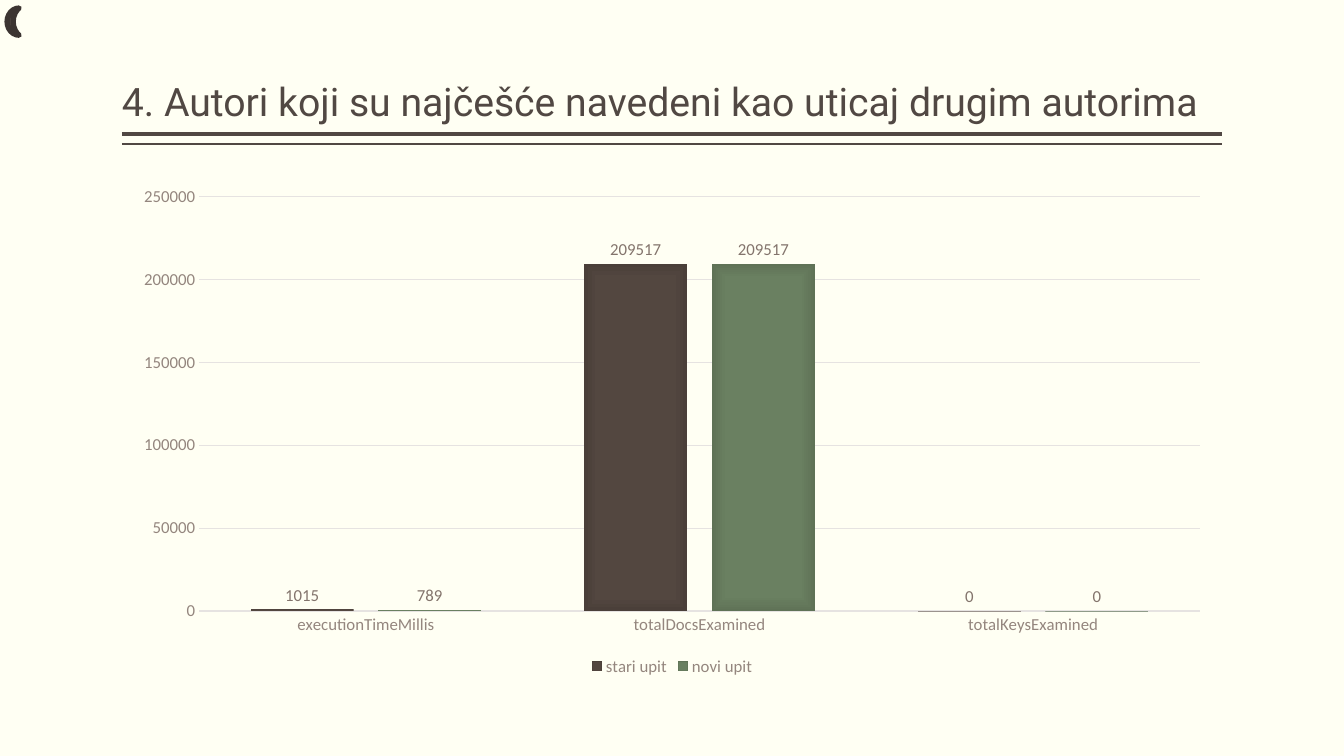
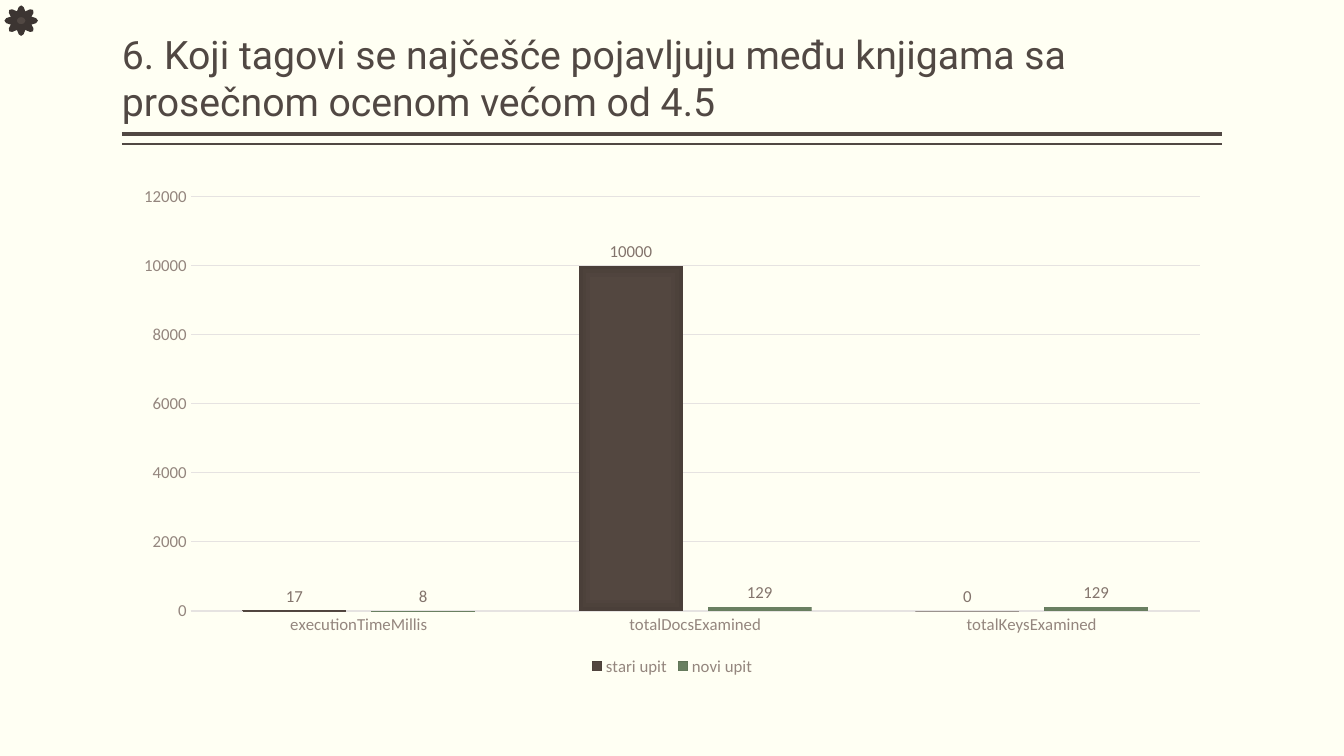
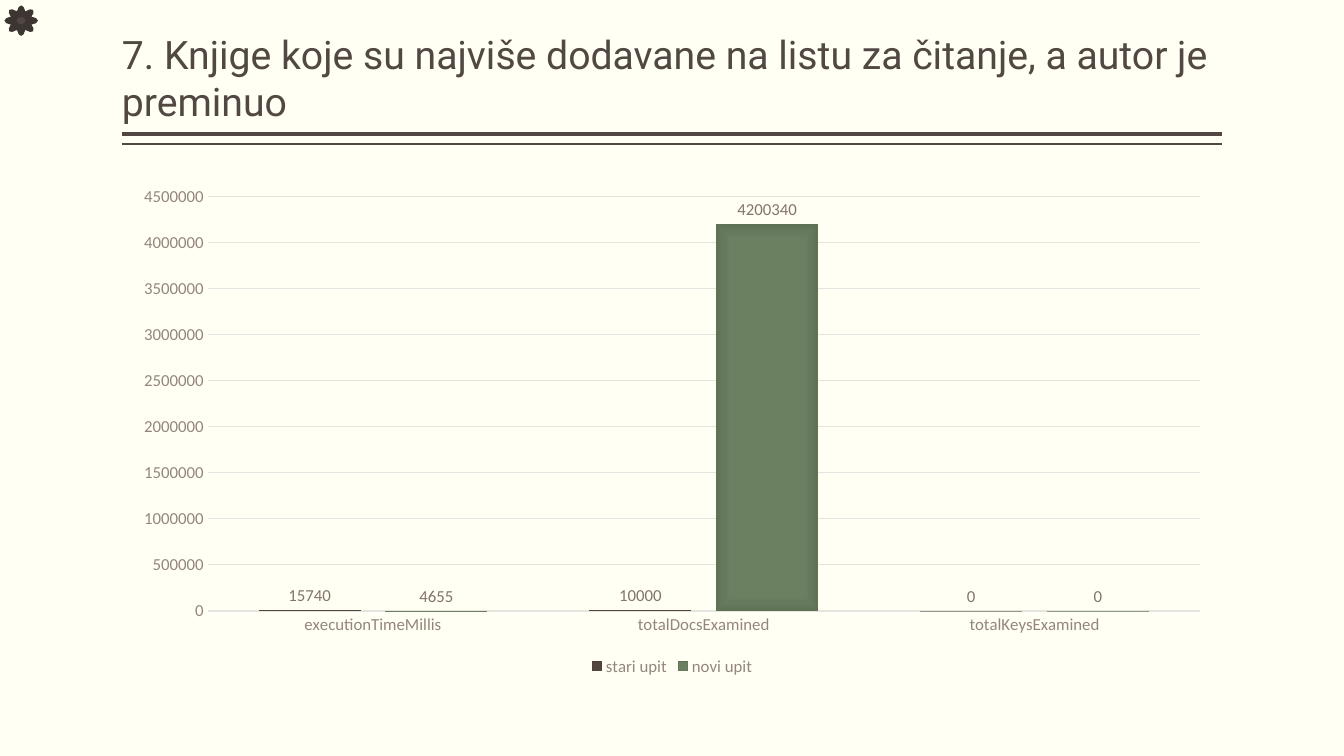
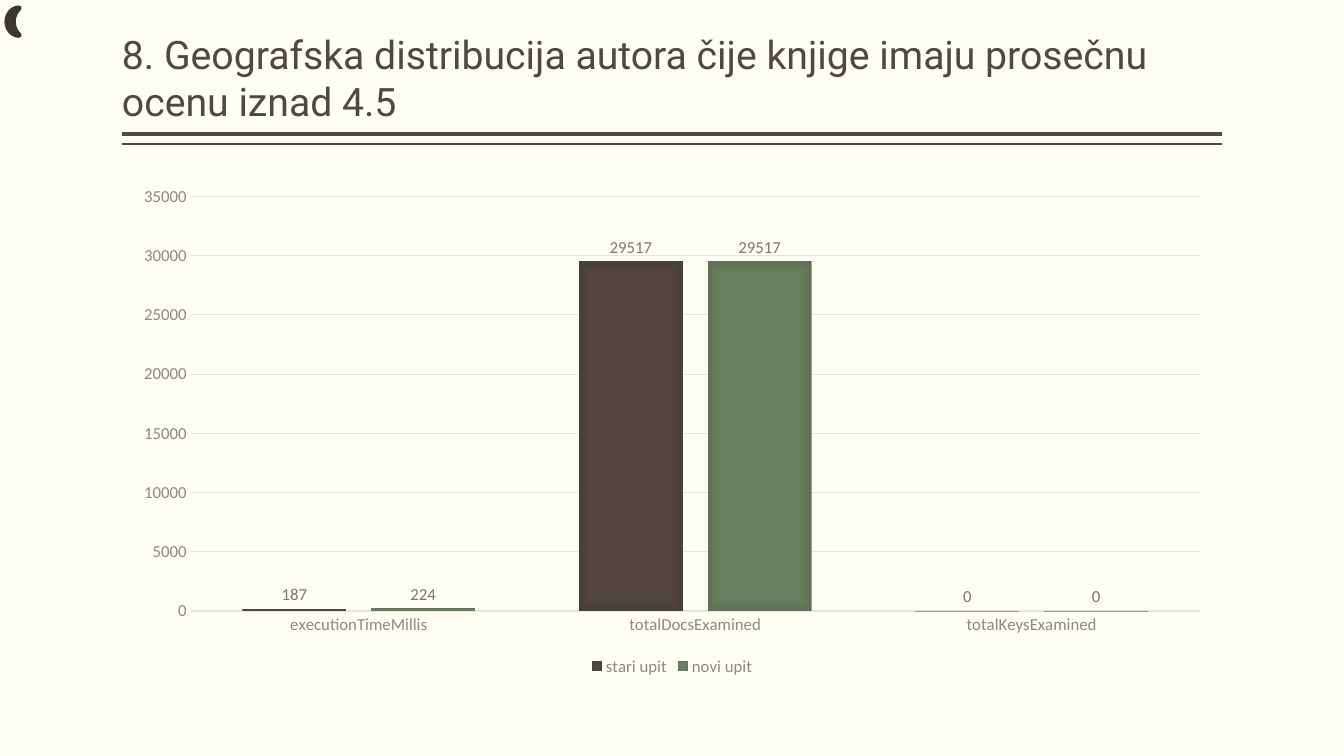
from dataclasses import dataclass

from pptx import Presentation
from pptx.chart.data import CategoryChartData
from pptx.dml.color import RGBColor
from pptx.enum.chart import XL_CHART_TYPE, XL_LABEL_POSITION, XL_LEGEND_POSITION, XL_TICK_MARK
from pptx.enum.shapes import MSO_CONNECTOR, MSO_SHAPE
from pptx.enum.text import MSO_ANCHOR, MSO_AUTO_SIZE, PP_ALIGN
from pptx.oxml import parse_xml
from pptx.oxml.ns import nsdecls
from pptx.util import Inches, Pt


@dataclass(frozen=True)
class Theme:
    paper: str = "FFFFF3"
    ink: str = "514843"
    icon_edge: str = "3C3532"
    axis_text: str = "94867E"
    label_text: str = "83746C"
    grid: str = "E6E3E1"
    # Bar colours from centre to edge, one row per series
    bars: tuple = (("544740", "534740", "4A3F39"), ("6B8162", "6A8061", "5F7256"))
    bar_stops: tuple = (0, 71, 100)
    title_font: str = "Roboto"
    chart_font: str = "Calibri"
    title_size: float = 28
    chart_size: float = 10
    label_size: float = 12


theme = Theme()

# Content: title, whether the new query is faster on all counts (icon), values of both queries
METRICS = ("executionTimeMillis", "totalDocsExamined", "totalKeysExamined")
QUERIES = ("stari upit", "novi upit")
MOON = (MSO_SHAPE.MOON, 0.12, 0.27)
SUN = (MSO_SHAPE.SUN, 0.28, 0.25)
RESULTS = (
    ("4. Autori koji su najčešće navedeni kao uticaj drugim autorima",
     MOON, ((1015, 209517, 0), (789, 209517, 0))),
    ("6. Koji tagovi se najčešće pojavljuju među knjigama sa prosečnom ocenom većom od 4.5",
     SUN, ((17, 10000, 0), (8, 129, 129))),
    ("7. Knjige koje su najviše dodavane na listu za čitanje, a autor je preminuo",
     SUN, ((15740, 10000, 0), (4655, 4200340, 0))),
    ("8. Geografska distribucija autora čije knjige imaju prosečnu ocenu iznad 4.5",
     MOON, ((187, 29517, 0), (224, 29517, 0))),
)


def set_font(font, name, size, color):
    font.name = name
    font.size = Pt(size)
    font.bold = False
    font.color.rgb = RGBColor.from_string(color)


def centre_gradient(colors):
    stops = "".join(
        f'<a:gs pos="{share * 1000}"><a:srgbClr val="{color}"/></a:gs>'
        for share, color in zip(theme.bar_stops, colors))
    return parse_xml(
        f'<a:gradFill {nsdecls("a")}><a:gsLst>{stops}</a:gsLst><a:path path="rect">'
        '<a:fillToRect l="50000" t="50000" r="50000" b="50000"/></a:path></a:gradFill>')


# Slide size and shared frame
deck = Presentation()
deck.slide_width = Inches(13.33)
deck.slide_height = Inches(7.5)
margin = Inches(1.21)
content_width = deck.slide_width - 2 * margin
rules = ((1.33, 3), (1.43, 1))

paper = deck.slide_master.background.fill
paper.solid()
paper.fore_color.rgb = RGBColor.from_string(theme.paper)
title_only = deck.slide_layouts[5]

for heading, (icon_kind, icon_width, icon_height), timings in RESULTS:
    slide = deck.slides.add_slide(title_only)

    # Double rule under the title
    for rule_y, weight in rules:
        rule = slide.shapes.add_connector(
            MSO_CONNECTOR.STRAIGHT, margin, Inches(rule_y),
            margin + content_width, Inches(rule_y))
        rule.line.width = Pt(weight)
        rule.line.color.rgb = RGBColor.from_string(theme.ink)
        rule._element.spPr.append(parse_xml(f'<a:effectLst {nsdecls("a")}/>'))

    # Title
    title = slide.shapes.title
    title.left, title.top = margin, Inches(0.08)
    title.width, title.height = content_width, Inches(1.2)
    frame = title.text_frame
    frame.text = heading
    frame.word_wrap = True
    frame.auto_size = MSO_AUTO_SIZE.NONE
    frame.vertical_anchor = MSO_ANCHOR.BOTTOM
    frame.margin_left = frame.margin_right = 0
    frame.margin_top = frame.margin_bottom = Inches(0.05)
    frame.paragraphs[0].alignment = PP_ALIGN.LEFT
    set_font(frame.paragraphs[0].font, theme.title_font, theme.title_size, theme.ink)

    # Chart of both queries
    data = CategoryChartData()
    data.categories = METRICS
    for query, values in zip(QUERIES, timings):
        data.add_series(query, values)
    chart = slide.shapes.add_chart(
        XL_CHART_TYPE.COLUMN_CLUSTERED, margin, Inches(1.75),
        content_width, Inches(5), data).chart
    chart.has_title = False
    set_font(chart.font, theme.chart_font, theme.chart_size, theme.ink)
    chart.has_legend = True
    chart.legend.position = XL_LEGEND_POSITION.BOTTOM
    chart.legend.include_in_layout = False
    set_font(chart.legend.font, theme.chart_font, theme.label_size, theme.axis_text)

    # Axes and grid
    for axis in (chart.category_axis, chart.value_axis):
        axis.major_tick_mark = axis.minor_tick_mark = XL_TICK_MARK.NONE
        set_font(axis.tick_labels.font, theme.chart_font, theme.label_size, theme.axis_text)
    baseline = chart.category_axis.format.line
    gridline = chart.value_axis.major_gridlines.format.line
    for line, weight in ((baseline, 1), (gridline, 0.75)):
        line.width = Pt(weight)
        line.color.rgb = RGBColor.from_string(theme.grid)
    chart.value_axis.format.line.fill.background()

    # Bars and their values
    plot = chart.plots[0]
    plot.vary_by_categories = False
    plot.gap_width = 100
    plot.overlap = -24
    for bars, colors in zip(plot.series, theme.bars):
        bars.invert_if_negative = False
        bars.format.fill.solid()
        bar_style = bars._element.spPr
        bar_style.replace(bar_style[0], centre_gradient(colors))
        labels = bars.data_labels
        labels.show_value = True
        labels.position = XL_LABEL_POSITION.OUTSIDE_END
        set_font(labels.font, theme.chart_font, theme.label_size, theme.label_text)

    # Corner icon
    icon = slide.shapes.add_shape(
        icon_kind, Inches(0.07), Inches(0.08), Inches(icon_width), Inches(icon_height))
    icon.shadow.inherit = False
    icon.fill.solid()
    icon.fill.fore_color.rgb = RGBColor.from_string(theme.ink)
    icon.line.width = Pt(3.78)
    icon.line.color.rgb = RGBColor.from_string(theme.icon_edge)

deck.save("out.pptx")
